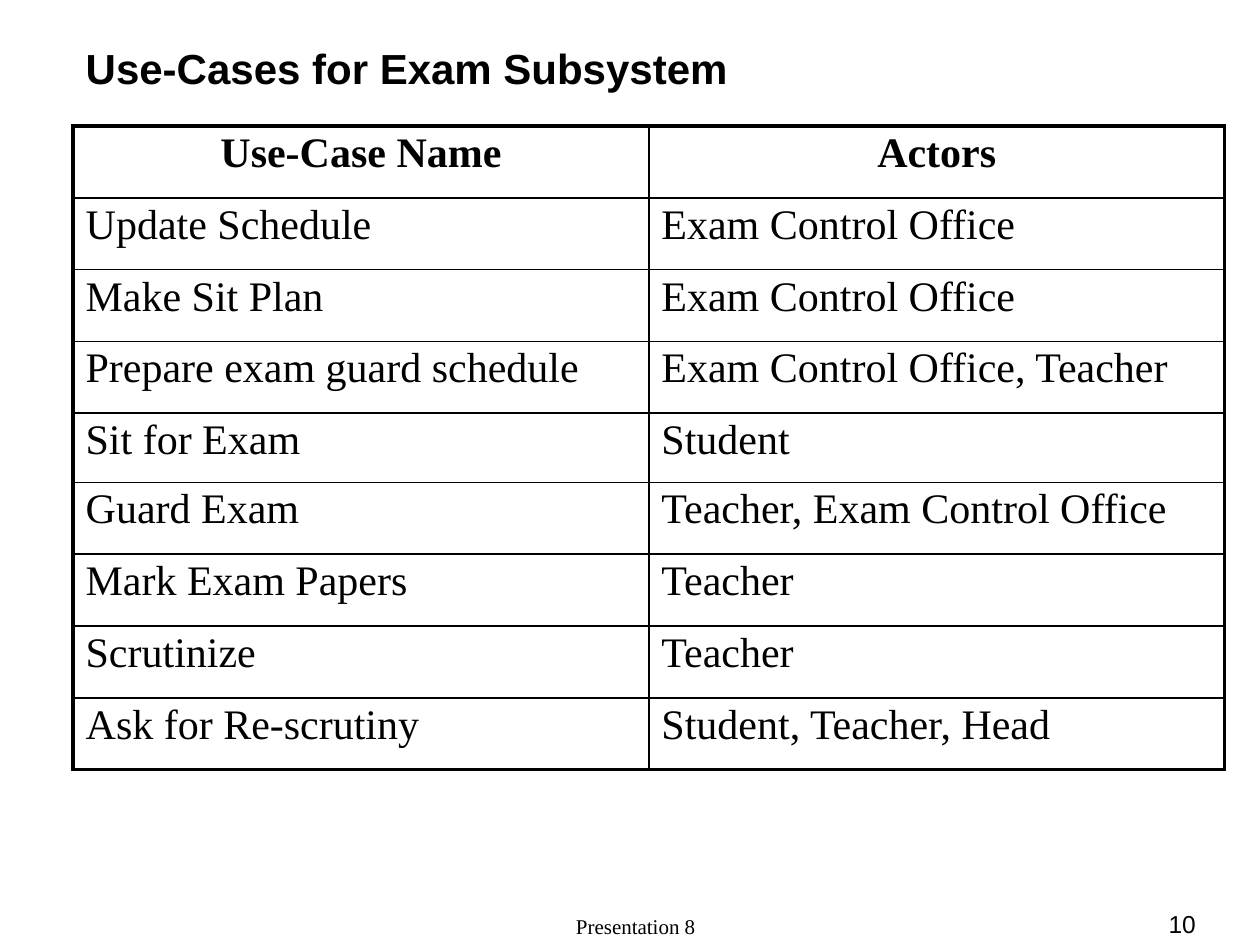
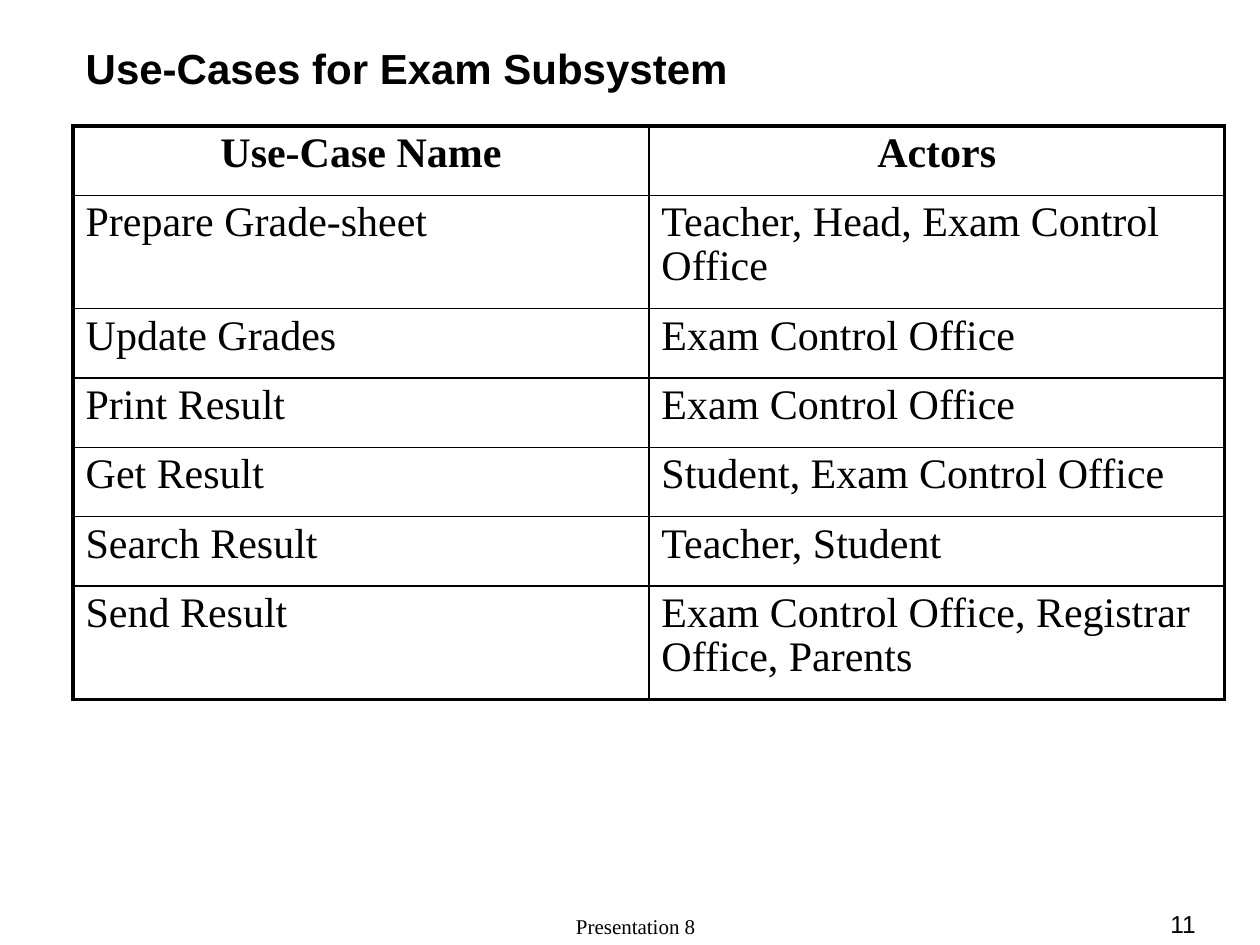
"""Build the two use-case tables of the exam subsystem."""
from dataclasses import dataclass
from typing import Any

from lxml.etree import SubElement
from pptx import Presentation
from pptx.dml.color import RGBColor
from pptx.enum.text import MSO_ANCHOR, MSO_AUTO_SIZE, PP_ALIGN
from pptx.oxml.ns import qn
from pptx.util import Inches, Pt


@dataclass(frozen=True)
class Theme:
    ink: str = "000000"
    heading_font: str = "Arial"
    body_font: str = "Times New Roman"
    title_size: float = 24
    table_size: float = 24
    footer_size: float = 12
    number_size: float = 14
    outer_line: float = 2.25
    inner_line: float = 1
    table_spacing: float = 0.95


@dataclass(frozen=True)
class UseCase:
    name: str
    actors: str
    height: float


@dataclass(frozen=True)
class TableSlide:
    number: int
    header_height: float
    use_cases: list[UseCase]


THEME = Theme()
TITLE = "Use-Cases for Exam Subsystem"
FOOTER = "Presentation 8"
COLUMNS = ("Use-Case Name", "Actors")
COLUMN_WIDTH = 4.57
TALL, SHORT, DOUBLE = 0.57, 0.55, 0.9

SLIDES = [
    TableSlide(10, TALL, [
        UseCase("Update Schedule", "Exam Control Office", TALL),
        UseCase("Make Sit Plan", "Exam Control Office", TALL),
        UseCase("Prepare exam guard schedule", "Exam Control Office, Teacher", TALL),
        UseCase("Sit for Exam", "Student", SHORT),
        UseCase("Guard Exam", "Teacher, Exam Control Office", TALL),
        UseCase("Mark Exam Papers", "Teacher", TALL),
        UseCase("Scrutinize", "Teacher", TALL),
        UseCase("Ask for Re-scrutiny", "Student, Teacher, Head", TALL),
    ]),
    TableSlide(11, SHORT, [
        UseCase("Prepare Grade-sheet", "Teacher, Head, Exam Control Office", DOUBLE),
        UseCase("Update Grades", "Exam Control Office", SHORT),
        UseCase("Print Result", "Exam Control Office", SHORT),
        UseCase("Get Result", "Student, Exam Control Office", SHORT),
        UseCase("Search Result", "Teacher, Student", SHORT),
        UseCase("Send Result", "Exam Control Office, Registrar Office, Parents", DOUBLE),
    ]),
]


def set_attributes(target: Any, values: dict[str, Any]) -> None:
    """Set each named attribute on the target."""
    for name, value in values.items():
        setattr(target, name, value)


def write(tf: Any, text: str, font: str, size: float,
          align: PP_ALIGN = PP_ALIGN.LEFT, bold: bool = False) -> None:
    """Write one formatted paragraph into a text frame."""
    p = tf.paragraphs[0]
    p.alignment = align
    r = p.add_run()
    r.text = text
    set_attributes(r.font, {"name": font, "size": Pt(size), "bold": bold})
    r.font.color.rgb = RGBColor.from_string(THEME.ink)


def place(sp: Any, left: float, top: float, width: float, height: float,
          anchor: MSO_ANCHOR) -> Any:
    """Position a text shape and return its prepared text frame."""
    set_attributes(sp, {"left": Inches(left), "top": Inches(top),
                        "width": Inches(width), "height": Inches(height)})
    set_attributes(sp.text_frame, {"word_wrap": True, "vertical_anchor": anchor,
                                   "auto_size": MSO_AUTO_SIZE.NONE})
    return sp.text_frame


def add_footer_text(s: Any, left: float, width: float, text: str,
                    font: str, size: float, align: PP_ALIGN) -> None:
    """Add a text box on the footer line."""
    sp = s.shapes.add_textbox(0, 0, 0, 0)
    tf = place(sp, left, 7.25, width, 0.25, MSO_ANCHOR.BOTTOM)
    write(tf, text, font, size, align)


def set_borders(cell: Any, outer: dict[str, bool]) -> None:
    """Draw the four cell borders, heavier on the table's outer edge."""
    tc_pr = cell._tc.get_or_add_tcPr()
    for index, (side, is_outer) in enumerate(outer.items()):
        width = THEME.outer_line if is_outer else THEME.inner_line
        ln = tc_pr.makeelement(qn(f"a:{side}"), {"w": str(Pt(width))})
        tc_pr.insert(index, ln)
        fill = SubElement(ln, qn("a:solidFill"))
        SubElement(fill, qn("a:srgbClr"), val=THEME.ink)


def add_use_case_table(s: Any, spec: TableSlide) -> None:
    """Add the table of use cases and their actors."""
    rows = [COLUMNS] + [(case.name, case.actors) for case in spec.use_cases]
    heights = [spec.header_height] + [case.height for case in spec.use_cases]
    table = s.shapes.add_table(
        len(rows), len(COLUMNS), Inches(0.58), Inches(1),
        Inches(COLUMN_WIDTH * len(COLUMNS)), Inches(sum(heights))).table
    table.horz_banding = False
    for column in table.columns:
        column.width = Inches(COLUMN_WIDTH)
    for i, (texts, height) in enumerate(zip(rows, heights)):
        table.rows[i].height = Inches(height)
        header = i == 0
        for j, text in enumerate(texts):
            cell = table.cell(i, j)
            cell.fill.background()
            write(cell.text_frame, text, THEME.body_font, THEME.table_size,
                  PP_ALIGN.CENTER if header else PP_ALIGN.LEFT, header)
            cell.text_frame.paragraphs[0].line_spacing = THEME.table_spacing
            set_borders(cell, {"lnL": j == 0, "lnR": j == len(COLUMNS) - 1,
                               "lnT": header, "lnB": i == len(rows) - 1})


def add_slide(prs: Any, spec: TableSlide) -> None:
    """Add one slide with its title, table and footer."""
    s = prs.slides.add_slide(prs.slide_layouts.get_by_name("Title Only"))
    add_footer_text(s, 3.42, 3.25, FOOTER, THEME.body_font,
                    THEME.footer_size, PP_ALIGN.CENTER)
    add_footer_text(s, 8.42, 1.17, str(spec.number), THEME.heading_font,
                    THEME.number_size, PP_ALIGN.RIGHT)
    tf = place(s.shapes.title, 0.58, 0.25, 9.42, 0.58, MSO_ANCHOR.MIDDLE)
    write(tf, TITLE, THEME.heading_font, THEME.title_size, bold=True)
    add_use_case_table(s, spec)


def main() -> None:
    """Build and save the presentation."""
    prs = Presentation()
    set_attributes(prs, {"slide_width": Inches(10), "slide_height": Inches(7.5)})
    for spec in SLIDES:
        add_slide(prs, spec)
    prs.save("out.pptx")


if __name__ == "__main__":
    main()
